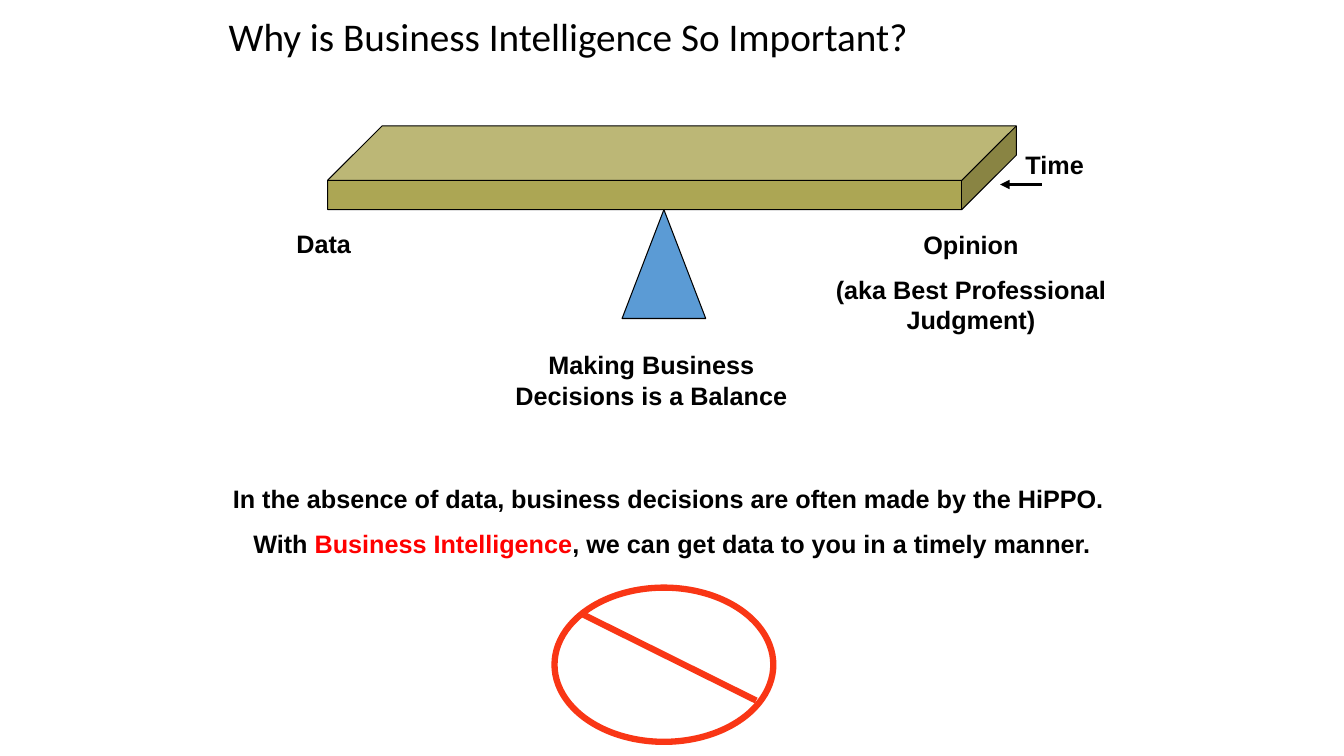
from lxml import etree
from pptx import Presentation
from pptx.dml.color import RGBColor
from pptx.enum.shapes import MSO_CONNECTOR, MSO_SHAPE
from pptx.enum.text import MSO_ANCHOR, PP_ALIGN
from pptx.oxml.ns import qn
from pptx.util import Inches, Pt

CUBE = MSO_SHAPE.CUBE
TRIANGLE = MSO_SHAPE.ISOSCELES_TRIANGLE
OVAL = MSO_SHAPE.OVAL
STRAIGHT = MSO_CONNECTOR.STRAIGHT
TOP = MSO_ANCHOR.TOP
LEFT = PP_ALIGN.LEFT
CENTER = PP_ALIGN.CENTER

BLACK = "000000"
RED = "FF0000"
SIGN_RED = "F93615"
OLIVE = "ACA654"
BLUE = "5B9BD5"


def color(value):
    return RGBColor.from_string(value)


class BalanceSlide:
    label_font = "Arial"
    label_size = 18
    title_font = "Calibri"
    title_size = 28
    paragraph_gap = 10

    def __init__(self, deck):
        self.slide = deck.slides.add_slide(deck.slide_layouts[6])

    def text_frame(self, left, top, width, height):
        box = self.slide.shapes.add_textbox(*map(Inches, (left, top, width, height)))
        frame = box.text_frame
        frame.word_wrap = True
        frame.vertical_anchor = TOP
        return frame

    def run(self, paragraph, text, font, size, bold, tint):
        run = paragraph.add_run()
        run.text = text
        run.font.name = font
        run.font.size = Pt(size)
        run.font.bold = bold
        run.font.color.rgb = color(tint)

    def title(self, text, *bounds):
        paragraph = self.text_frame(*bounds).paragraphs[0]
        paragraph.alignment = LEFT
        paragraph.line_spacing = 0.9
        self.run(paragraph, text, self.title_font, self.title_size, False, BLACK)

    def label(self, lines, *bounds):
        frame = self.text_frame(*bounds)
        for index, pieces in enumerate(lines):
            paragraph = frame.add_paragraph() if index else frame.paragraphs[0]
            paragraph.alignment = CENTER
            if index:
                paragraph.space_before = Pt(self.paragraph_gap)
            for text, tint in pieces:
                self.run(paragraph, text, self.label_font, self.label_size, True, tint)

    def shape(self, kind, bounds, fill, line, weight, adjustment=None):
        shape = self.slide.shapes.add_shape(kind, *map(Inches, bounds))
        shape.shadow.inherit = False
        if fill:
            shape.fill.solid()
            shape.fill.fore_color.rgb = color(fill)
        else:
            shape.fill.background()
        shape.line.color.rgb = color(line)
        shape.line.width = Pt(weight)
        if adjustment is not None:
            shape.adjustments[0] = adjustment

    def line(self, start, end, tint, weight, arrow=False):
        connector = self.slide.shapes.add_connector(STRAIGHT, *map(Inches, start + end))
        connector.line.color.rgb = color(tint)
        connector.line.width = Pt(weight)
        properties = connector._element.spPr
        if arrow:
            outline = properties.find(qn("a:ln"))
            etree.SubElement(outline, qn("a:tailEnd"), type="triangle")
        etree.SubElement(properties, qn("a:effectLst"))


deck = Presentation()
deck.slide_width = Inches(13.33)
deck.slide_height = Inches(7.5)
balance = BalanceSlide(deck)

balance.title("Why is Business Intelligence So Important?", 2.17, 0.13, 9, 0.62)

balance.shape(CUBE, (3.25, 1.25, 6.83, 0.83), OLIVE, BLACK, 0.75, 0.65)
balance.shape(TRIANGLE, (6.17, 2.08, 0.83, 1.08), BLUE, BLACK, 0.75)
balance.label([[("Data", BLACK)]], 2.25, 2.22, 1.92, 0.4)
balance.label(
    [[("Opinion", BLACK)], [("(aka Best Professional Judgment)", BLACK)]],
    8.17, 2.23, 2.92, 1.16,
)
balance.label([[("Making Business Decisions is a Balance", BLACK)]], 4.75, 3.42, 3.42, 0.71)

balance.label([[("Time", BLACK)]], 9.5, 1.43, 1.92, 0.4)
balance.line((10.33, 1.83), (9.92, 1.83), BLACK, 2.25, arrow=True)

absence = [("In the absence of data, business decisions are often made by the HiPPO. ", BLACK)]
remedy = [
    ("With ", BLACK),
    ("Business Intelligence", RED),
    (", we can get data to you in a timely manner.", BLACK),
]
balance.label([absence, remedy], 2.08, 4.75, 9.17, 0.86)

balance.shape(OVAL, (5.5, 5.83, 2.17, 1.53), None, SIGN_RED, 4.5)
balance.line((5.75, 6.08), (7.5, 6.95), SIGN_RED, 4.5)

deck.save("out.pptx")
